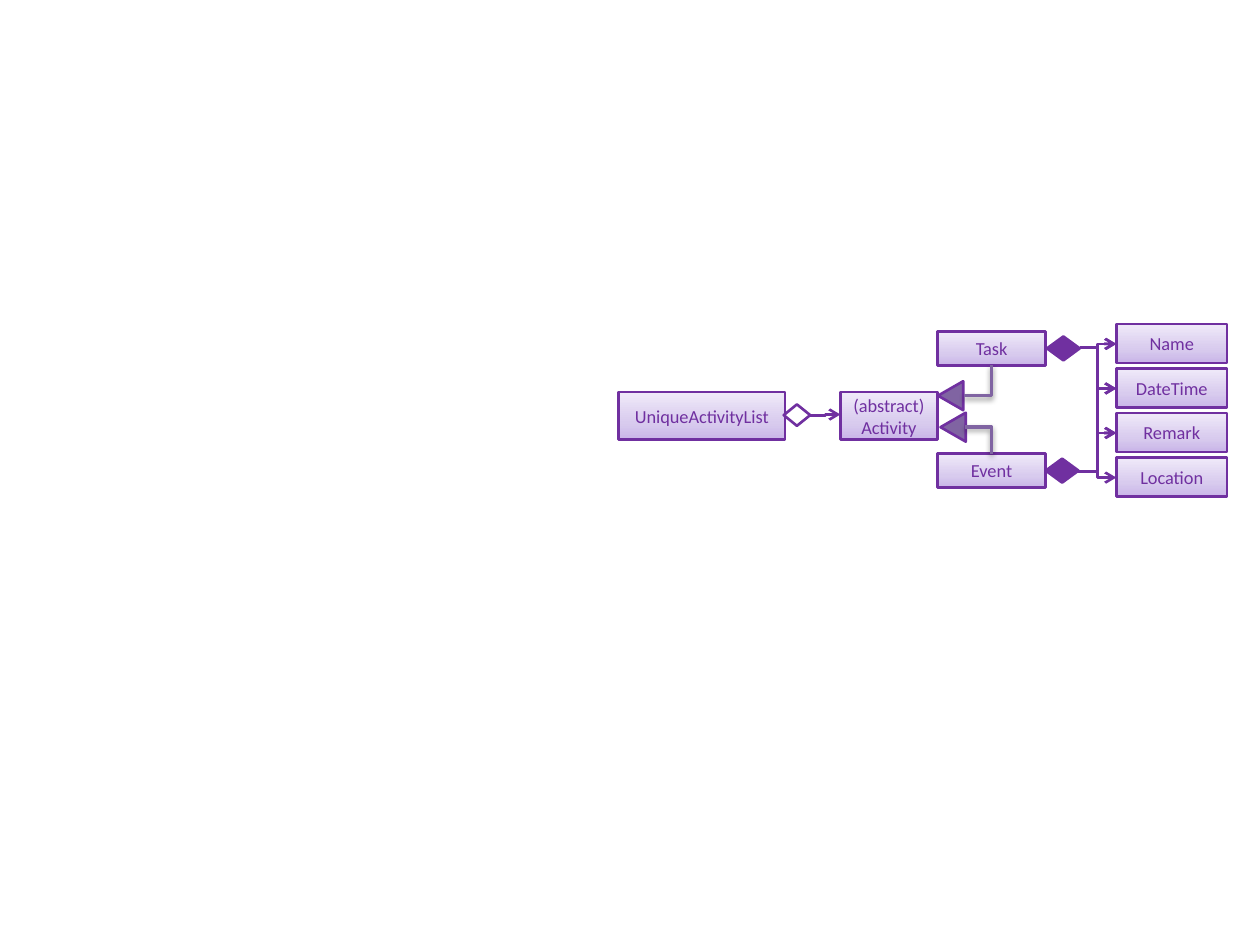
"""Draw a class diagram of activities, tasks and events."""
from copy import deepcopy

from lxml.etree import SubElement as Sub
from pptx import Presentation
from pptx.dml.color import RGBColor as RGB
from pptx.enum.shapes import MSO_CONNECTOR as Conn, MSO_SHAPE as Shape
from pptx.enum.text import MSO_ANCHOR as Anchor, PP_ALIGN as Align
from pptx.oxml.ns import qn
from pptx.util import Inches, Pt

HUES = {"line": "7030A0", "soft": "8064A2", "low": "C9B5E8",
        "mid": "D8CBEE", "high": "F0EAF9", "shade": "000000"}
STOPS = [(0, "low"), (0.35, "mid"), (1, "high")]

deck = Presentation()
deck.slide_width, deck.slide_height = Inches(10), Inches(7.5)
slide = deck.slides.add_slide(deck.slide_layouts[6])


def draw(kind, spot, hue=None):
    shape = slide.shapes.add_shape(kind, *[Inches(n) for n in spot])
    shape.shadow.inherit = False
    shape.line.color.rgb = RGB.from_string(HUES["line"])
    shape.line.width = Pt(1.5)
    if hue:
        shape.fill.solid()
        shape.fill.fore_color.rgb = RGB.from_string(HUES[hue])
    else:
        shape.fill.background()
    return shape


def link(start, end, hue="line", width=1.5):
    ends = [Inches(n) for n in (*start, *end)]
    wire = slide.shapes.add_connector(Conn.ELBOW, *ends)
    wire.line.color.rgb = RGB.from_string(HUES[hue])
    wire.line.width = Pt(width)
    props = wire._element.spPr
    if hue == "line":
        Sub(wire.line._get_or_add_ln(), qn("a:tailEnd"), type="arrow")
    return props, Sub(props, qn("a:effectLst"))


parts = ["Name", "DateTime", "Remark", "Location"]
pitch = (3.63 - 2.57) / 3
tops = [2.57 + pitch * i for i in range(len(parts))]
boxes = [
    (["UniqueActivityList"], (4.91, 3.11, 1.32, 0.38)),
    (["(abstract)", "Activity"], (6.67, 3.11, 0.77, 0.38)),
    (["Task"], (7.44, 2.63, 0.86, 0.27)),
    (["Event"], (7.44, 3.6, 0.86, 0.27)),
]
boxes += [([part], (8.86, top, 0.88, 0.31)) for part, top in zip(parts, tops)]

for lines, spot in boxes:
    box = draw(Shape.RECTANGLE, spot)
    box.fill.gradient()
    box.fill.gradient_angle = 90
    first = box.fill.gradient_stops[0]._gs
    first.addnext(deepcopy(first))
    for stop, (place, hue) in zip(box.fill.gradient_stops, STOPS):
        stop.position = place
        stop.color.rgb = RGB.from_string(HUES[hue])
    frame = box.text_frame
    frame.word_wrap = True
    frame.vertical_anchor = Anchor.MIDDLE
    frame.margin_left = frame.margin_right = 0
    frame.margin_top = frame.margin_bottom = 0
    for i, line in enumerate(lines):
        para = frame.add_paragraph() if i else frame.paragraphs[0]
        para.alignment = Align.CENTER
        run = para.add_run()
        run.text = line
        run.font.name, run.font.size = "Calibri", Pt(10.5)
        run.font.color.rgb = RGB.from_string(HUES["line"])

draw(Shape.FLOWCHART_DECISION, (6.22, 3.21, 0.21, 0.17))
link((6.43, 3.3), (6.67, 3.29))

for spot, start, end in [
    ((7.43, 3.04, 0.23, 0.2), (7.65, 3.14), (7.87, 2.9)),
    ((7.45, 3.29, 0.23, 0.2), (7.66, 3.39), (7.87, 3.6)),
]:
    head = draw(Shape.ISOSCELES_TRIANGLE, spot, "soft")
    head.rotation = 270
    props, glow = link(start, end, "soft", 2)
    props.find(qn("a:prstGeom")).set("prst", "bentConnector2")
    cast = Sub(glow, qn("a:outerShdw"), blurRad="40000", dist="20000",
               dir="5400000", rotWithShape="0")
    tint = Sub(cast, qn("a:srgbClr"), val=HUES["shade"])
    Sub(tint, qn("a:alpha"), val="38000")

for left, top, mid, goals in [(8.3, 3.64, 3.74, tops), (8.31, 2.67, 2.76, tops[:3])]:
    draw(Shape.FLOWCHART_DECISION, (left, top, 0.26, 0.19), "line")
    for goal in goals:
        link((left + 0.26, mid), (8.86, goal + 0.16))

deck.save("out.pptx")
